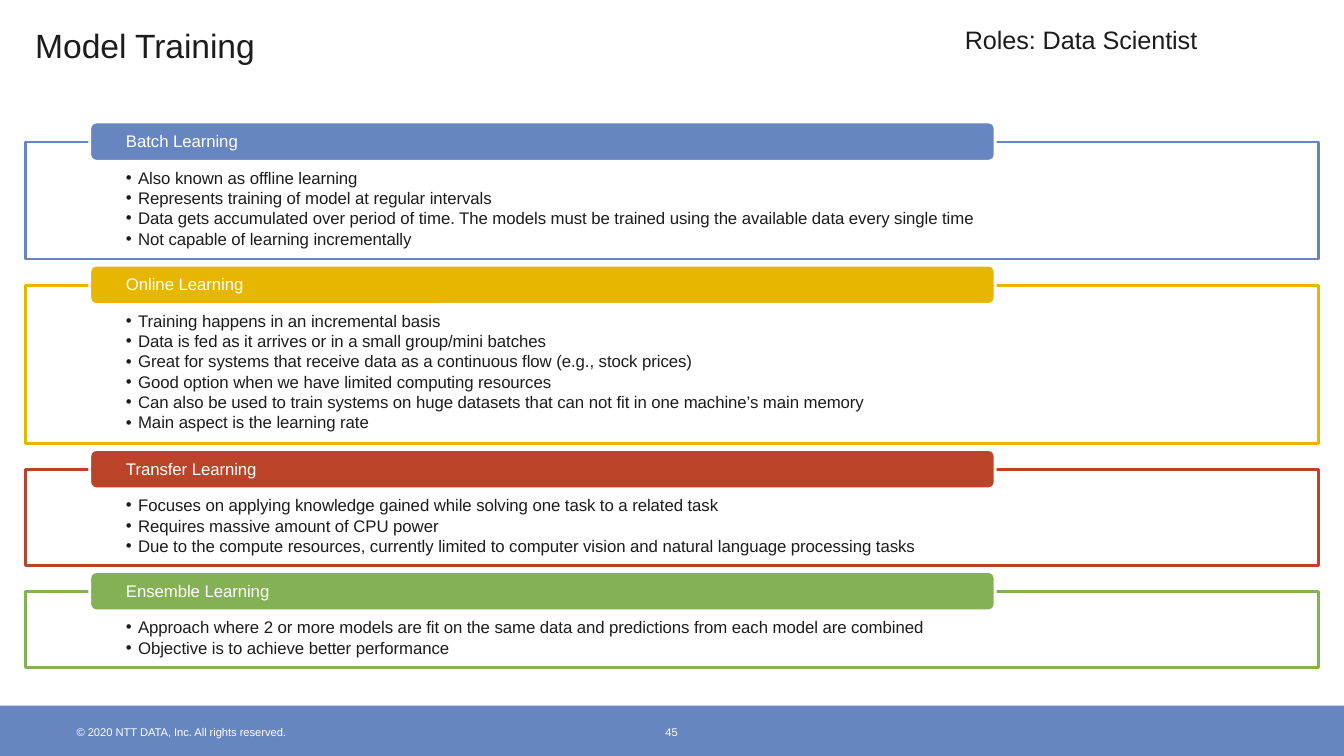
from pptx import Presentation
from pptx.dml.color import RGBColor
from pptx.enum.shapes import MSO_SHAPE
from pptx.oxml.ns import qn
from pptx.util import Inches, Pt
from lxml.etree import SubElement

FONT = "Arial"
DARK, WHITE, BLUE = "1C1C1C", "FFFFFF", "6785C1"
FIRST_TOP, PANEL_GAP = 1.41, 0.26

# Heading, colour, panel height, bullets
LEARNING_TYPES = [
    ("Batch Learning", BLUE, 1.16, [
        "Also known as offline learning",
        "Represents training of model at regular intervals",
        "Data gets accumulated over period of time. The models must be trained "
        "using the available data every single time",
        "Not capable of learning incrementally",
    ]),
    ("Online Learning", "E6B600", 1.57, [
        "Training happens in an incremental basis",
        "Data is fed as it arrives or in a small group/mini batches",
        "Great for systems that receive data as a continuous flow (e.g., stock prices)",
        "Good option when we have limited computing resources",
        "Can also be used to train systems on huge datasets that can not fit "
        "in one machine’s main memory",
        "Main aspect is the learning rate",
    ]),
    ("Transfer Learning", "BB4328", 0.95, [
        "Focuses on applying knowledge gained while solving one task to a related task",
        "Requires massive amount of CPU power",
        "Due to the compute resources, currently limited to computer vision and "
        "natural language processing tasks",
    ]),
    ("Ensemble Learning", "83B153", 0.75, [
        "Approach where 2 or more models are fit on the same data and predictions "
        "from each model are combined",
        "Objective is to achieve better performance",
    ]),
]


def color(hex_code):
    return RGBColor.from_string(hex_code)


def add_block(slide, kind, left, top, width, height, fill=None, line=None):
    block = slide.shapes.add_shape(
        kind, Inches(left), Inches(top), Inches(width), Inches(height))
    block.shadow.inherit = False
    if fill:
        block.fill.solid()
        block.fill.fore_color.rgb = color(fill)
    else:
        block.fill.background()
    if line:
        block.line.color.rgb = color(line)
        block.line.width = Pt(2)
    else:
        block.line.fill.background()


def write(paragraph, text, size=12, ink=DARK, indent=0.01, bullet=False, before=0):
    """Put formatted text into a paragraph, with a bullet if asked for."""
    props = paragraph._p.get_or_add_pPr()
    if bullet:
        props.set("marL", str(Inches(0.14)))
        props.set("indent", str(Inches(-0.12)))
        SubElement(props, qn("a:buFont"), typeface=FONT)
        SubElement(props, qn("a:buChar"), char="•")
        paragraph.line_spacing = Pt(14.5)
    else:
        props.set("marL", str(Inches(indent)))
    if before:
        paragraph.space_before = Pt(before)
    run = paragraph.add_run()
    run.text = text
    run.font.name = FONT
    run.font.size = Pt(size)
    run.font.color.rgb = color(ink)
    run._r.get_or_add_rPr().set("spc", "-5")


def add_text(slide, text, left, top, width, height, inset=0.02, **text_format):
    box = slide.shapes.add_textbox(
        Inches(left), Inches(top), Inches(width), Inches(height))
    frame = box.text_frame
    frame.word_wrap = True
    frame.margin_left = frame.margin_right = frame.margin_bottom = 0
    frame.margin_top = Inches(inset)
    write(frame.paragraphs[0], text, **text_format)
    return frame


def add_panel(slide, top, heading, accent, height, bullets):
    add_block(slide, MSO_SHAPE.RECTANGLE, 0.25, top, 12.83, height, line=accent)
    add_block(slide, MSO_SHAPE.ROUNDED_RECTANGLE, 0.89, top - 0.2, 8.98, 0.39,
              fill=accent, line=WHITE)
    frame = add_text(slide, heading, 1.23, top - 0.13, 8.53, height + 0.03,
                     ink=WHITE, indent=0.02)
    for index, bullet in enumerate(bullets):
        write(frame.add_paragraph(), bullet, bullet=True,
              before=0 if index else 11.5)


def main():
    deck = Presentation()
    deck.slide_width, deck.slide_height = Inches(13.33), Inches(7.5)
    slide = deck.slides.add_slide(deck.slide_layouts[6])

    # Footer band
    add_block(slide, MSO_SHAPE.RECTANGLE, 0, 7, 13.33, 0.5, fill=BLUE)

    # Title and role
    add_text(slide, "Model Training", 0.34, 0.23, 2.3, 0.43, size=24)
    add_text(slide, "Roles: Data Scientist", 9.56, 0.22, 2.4, 0.33, size=18)

    # Learning panels, stacked
    top = FIRST_TOP
    for heading, accent, height, bullets in LEARNING_TYPES:
        add_panel(slide, top, heading, accent, height, bullets)
        top += height + PANEL_GAP

    # Footer text
    add_text(slide, "© 2020 NTT DATA, Inc. All rights reserved.",
             0.75, 7.2, 2.2, 0.15, inset=0, size=8, ink=WHITE)
    add_text(slide, "45", 6.56, 7.2, 0.21, 0.15, inset=0, size=8, ink=WHITE,
             indent=0.04)

    deck.save("out.pptx")


if __name__ == "__main__":
    main()
